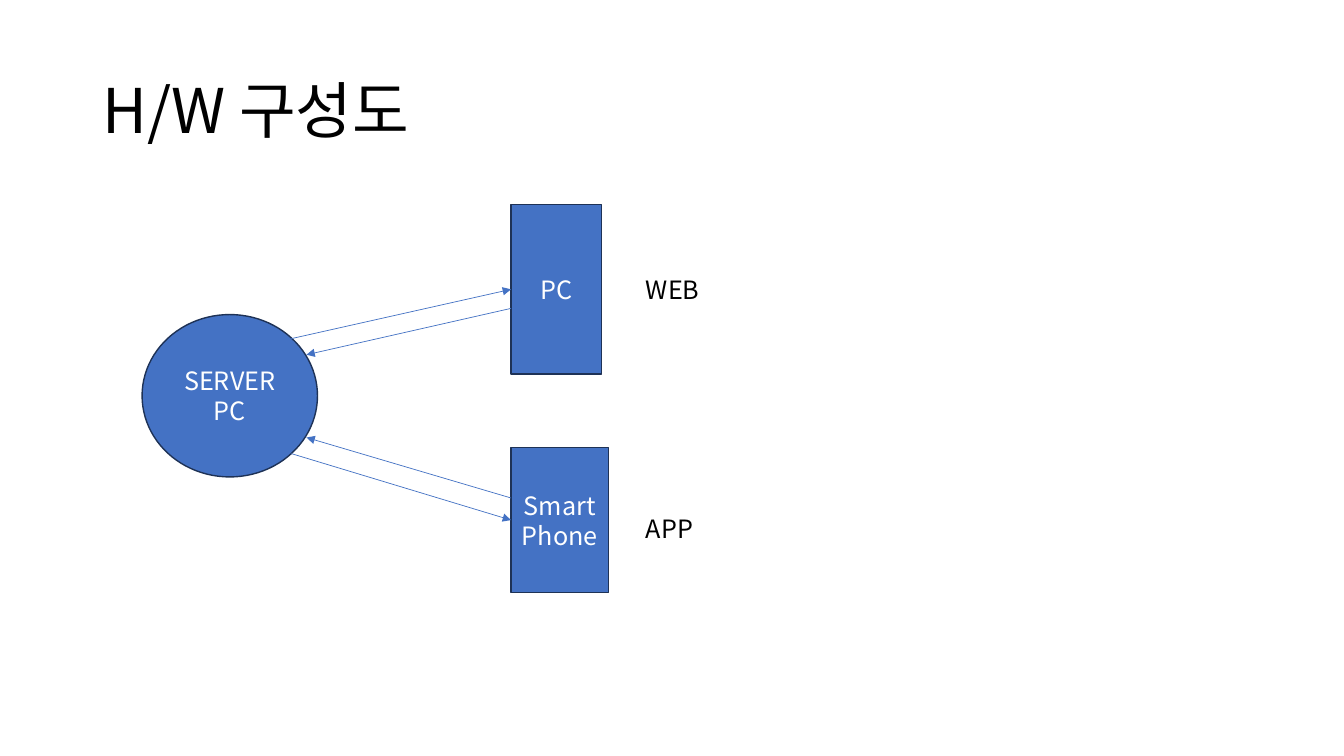
from lxml.etree import SubElement
from pptx import Presentation
from pptx.dml.color import RGBColor
from pptx.enum.shapes import MSO_CONNECTOR, MSO_SHAPE
from pptx.enum.text import MSO_ANCHOR, PP_ALIGN
from pptx.oxml.ns import qn
from pptx.util import Pt

FONT = "Noto Sans CJK KR"
BLUE = RGBColor(0x44, 0x72, 0xC4)
NAVY = RGBColor(0x1E, 0x32, 0x56)
BLACK = RGBColor(0, 0, 0)
WHITE = RGBColor(255, 255, 255)


def write(frame, text, size, color, align=PP_ALIGN.LEFT):
    """Fill a text frame with one paragraph per line of text."""
    frame.word_wrap = True
    frame.text = text
    for para in frame.paragraphs:
        para.alignment = align
        font = para.font
        font.size = Pt(size)
        font.name = FONT
        font.color.rgb = color
        props = para._p.pPr.find(qn("a:defRPr"))
        SubElement(props, qn("a:ea"), typeface=FONT)


def label(slide, text, x, y, w, h, size=18):
    """Place black text in a box and return its frame."""
    frame = slide.shapes.add_textbox(Pt(x), Pt(y), Pt(w), Pt(h)).text_frame
    write(frame, text, size, BLACK)
    return frame


def node(slide, kind, text, x, y, w, h):
    """Draw a blue device with centred white text."""
    shape = slide.shapes.add_shape(kind, Pt(x), Pt(y), Pt(w), Pt(h))
    shape.shadow.inherit = False
    shape.fill.solid()
    shape.fill.fore_color.rgb = BLUE
    shape.line.color.rgb = NAVY
    shape.line.width = Pt(1)
    shape.text_frame.vertical_anchor = MSO_ANCHOR.MIDDLE
    write(shape.text_frame, text, 18, WHITE, PP_ALIGN.CENTER)


def arrow(slide, x1, y1, x2, y2):
    """Draw a thin arrow that points at its second end."""
    link = slide.shapes.add_connector(
        MSO_CONNECTOR.STRAIGHT, Pt(x1), Pt(y1), Pt(x2), Pt(y2))
    link.line.color.rgb = BLUE
    link.line.width = Pt(0.5)
    SubElement(link.line._get_or_add_ln(), qn("a:tailEnd"), type="triangle")
    SubElement(link._element.spPr, qn("a:effectLst"))


def title(slide, x, y, w, h):
    """Place the slide title in its box."""
    frame = label(slide, "H/W 구성도", x, y, w, h, 44)
    frame.vertical_anchor = MSO_ANCHOR.MIDDLE
    frame.paragraphs[0].line_spacing = 0.9


def diagram(slide, x, y):
    """Draw the server, its two clients and the links between them."""
    edge = x + 263.5
    node(slide, MSO_SHAPE.OVAL, "SERVER PC", x, y + 78.5, 125.3, 116)
    clients = [
        ("PC", "WEB", 0, 64.8, 121, 46, (95.7, 60.5), (74.1, 107.2)),
        ("Smart\nPhone", "APP", 173.5, 69.8, 103.7, 216.7,
         (177.8, 225.3), (209.5, 166.3)),
    ]
    for name, use, top, w, h, drop, out, back in clients:
        node(slide, MSO_SHAPE.RECTANGLE, name, edge, y + top, w, h)
        label(slide, use, x + 352.8, y + drop, 155.5, 28.8)
        arrow(slide, x + 106.6, y + out[0], edge, y + out[1])
        arrow(slide, edge, y + back[0], x + 117.4, y + back[1])


def main():
    """Build and save the slide."""
    deck = Presentation()
    deck.slide_width, deck.slide_height = Pt(960), Pt(540)
    slide = deck.slides.add_slide(deck.slide_layouts[6])
    title(slide, 66, 28.8, 828, 104.4)
    diagram(slide, 101.5, 146.2)
    deck.save("out.pptx")


if __name__ == "__main__":
    main()
